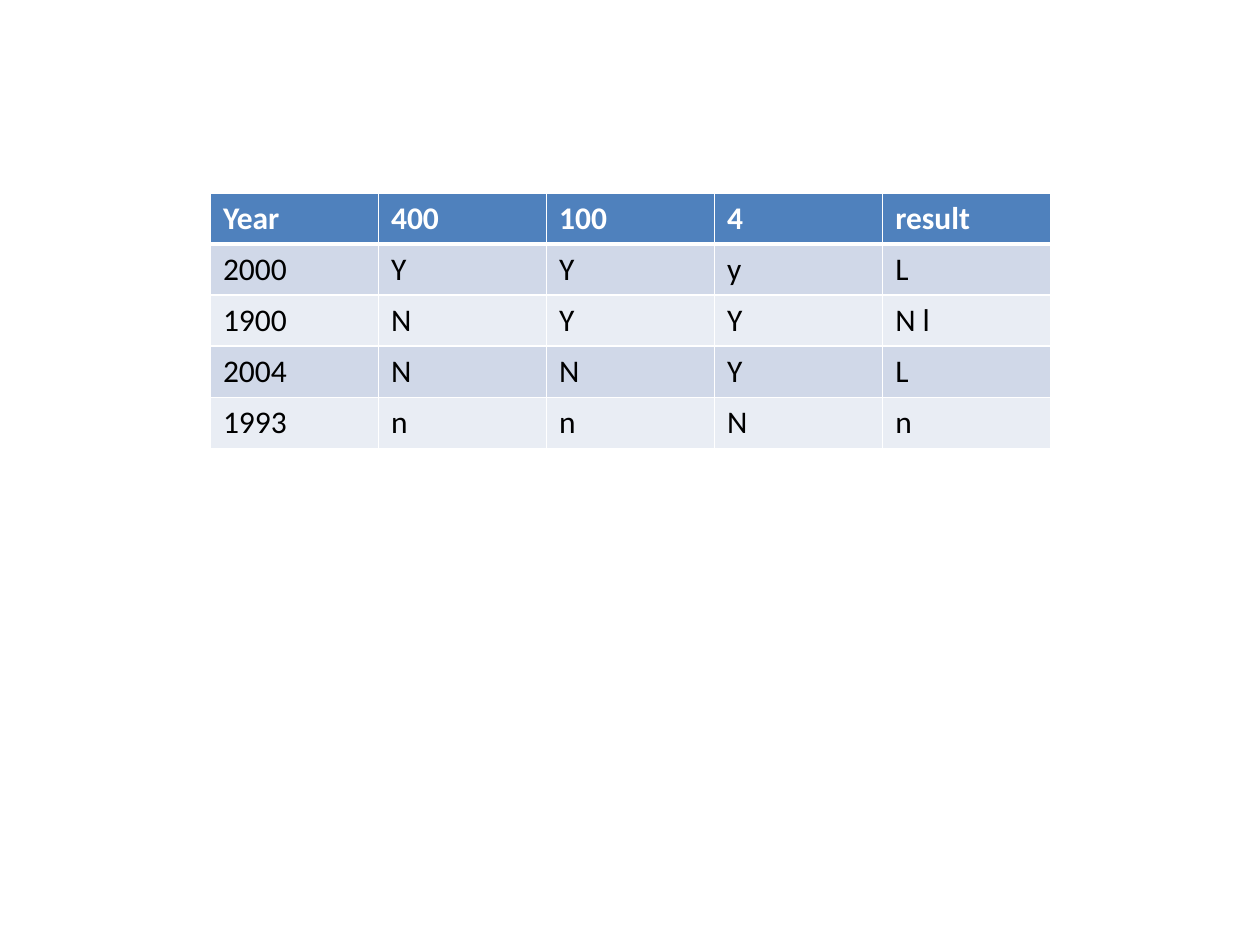
from lxml import etree
from pptx import Presentation
from pptx import util as u
from pptx.dml.color import RGBColor
from pptx.oxml import ns

HUES = {"head": "4F81BD", "odd": "D0D8E8", "even": "E9EDF4",
        "white": "FFFFFF", "black": "000000"}

YEARS = [
    ["Year", "400", "100", "4", "result"],
    ["2000", "Y", "Y", "y", "L"],
    ["1900", "N", "Y", "Y", "N l "],
    ["2004", "N", "N", "Y", "L"],
    ["1993", "n", "n", "N", "n"],
]


def hue(name):
    return RGBColor.from_string(HUES[name])


def write(frame, words, size=18, color="black", bold=False, font="Calibri"):
    run = frame.paragraphs[0].add_run()
    run.text = words
    run.font.size = u.Pt(size)
    run.font.name = font
    run.font.bold = bold
    run.font.color.rgb = hue(color)


def edge(cell, side, width, color="white"):
    props = cell._tc.get_or_add_tcPr()
    line = etree.SubElement(props, ns.qn("a:ln" + side), w=str(u.Pt(width)))
    fill = etree.SubElement(line, ns.qn("a:solidFill"))
    etree.SubElement(fill, ns.qn("a:srgbClr"), val=HUES[color])


def grid(slide, rows, left, top, width, height):
    box = [u.Inches(n) for n in (left, top, width, height)]
    table = slide.shapes.add_table(len(rows), len(rows[0]), *box).table
    for r, row in enumerate(rows):
        head = r == 0
        band = "head" if head else "odd" if r % 2 else "even"
        sides = {"L": 1, "R": 1, "T": 3 if r == 1 else 1, "B": 3 if head else 1}
        for c, words in enumerate(row):
            cell = table.cell(r, c)
            for side, size in sides.items():
                edge(cell, side, size)
            cell.fill.solid()
            cell.fill.fore_color.rgb = hue(band)
            write(cell.text_frame, words, bold=head,
                  color="white" if head else "black")


deck = Presentation()
deck.slide_width = u.Inches(10)
deck.slide_height = u.Inches(7.5)
slide = deck.slides.add_slide(deck.slide_layouts[6])
grid(slide, YEARS, 1.67, 1.53, 6.67, 2.03)
deck.save("out.pptx")
